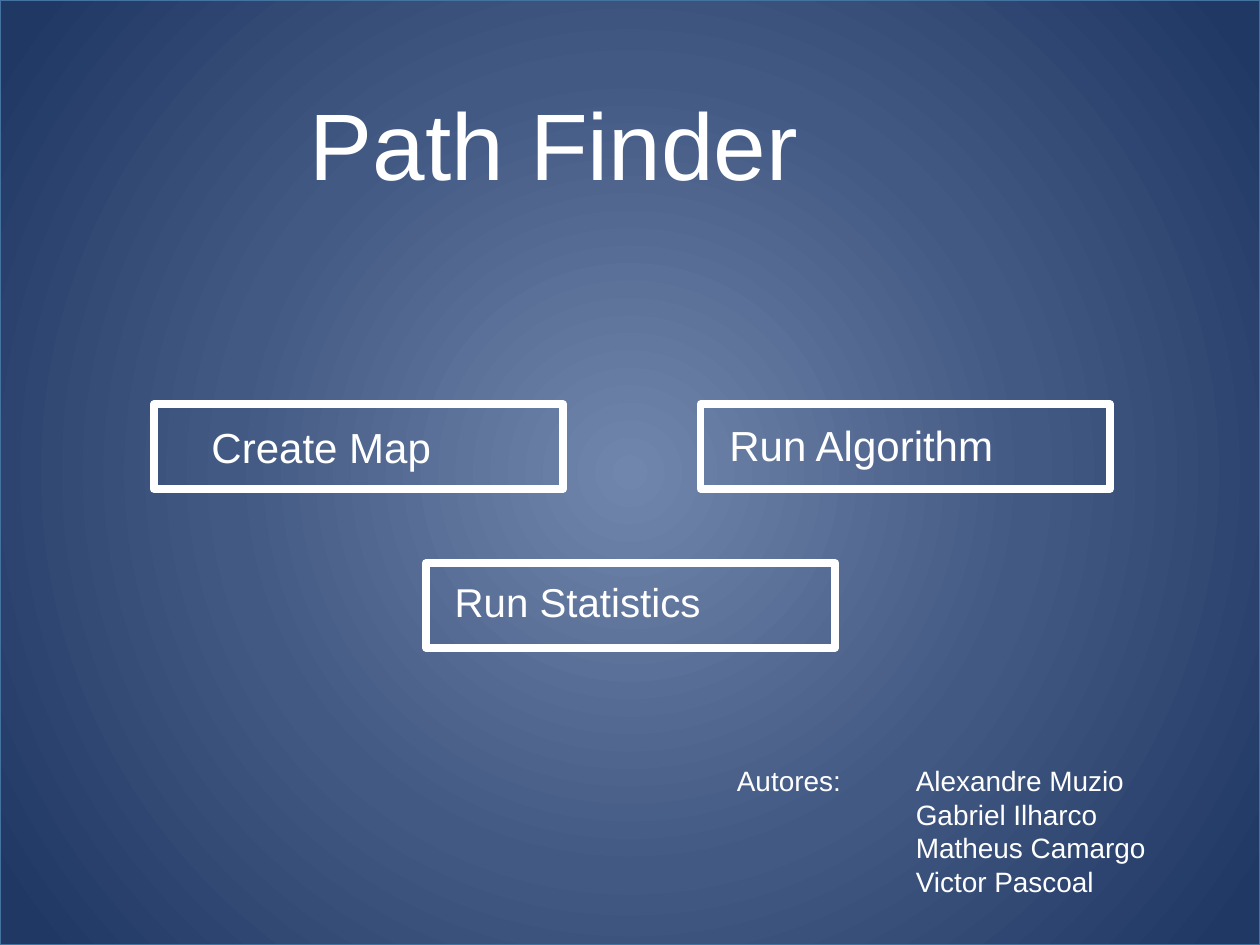
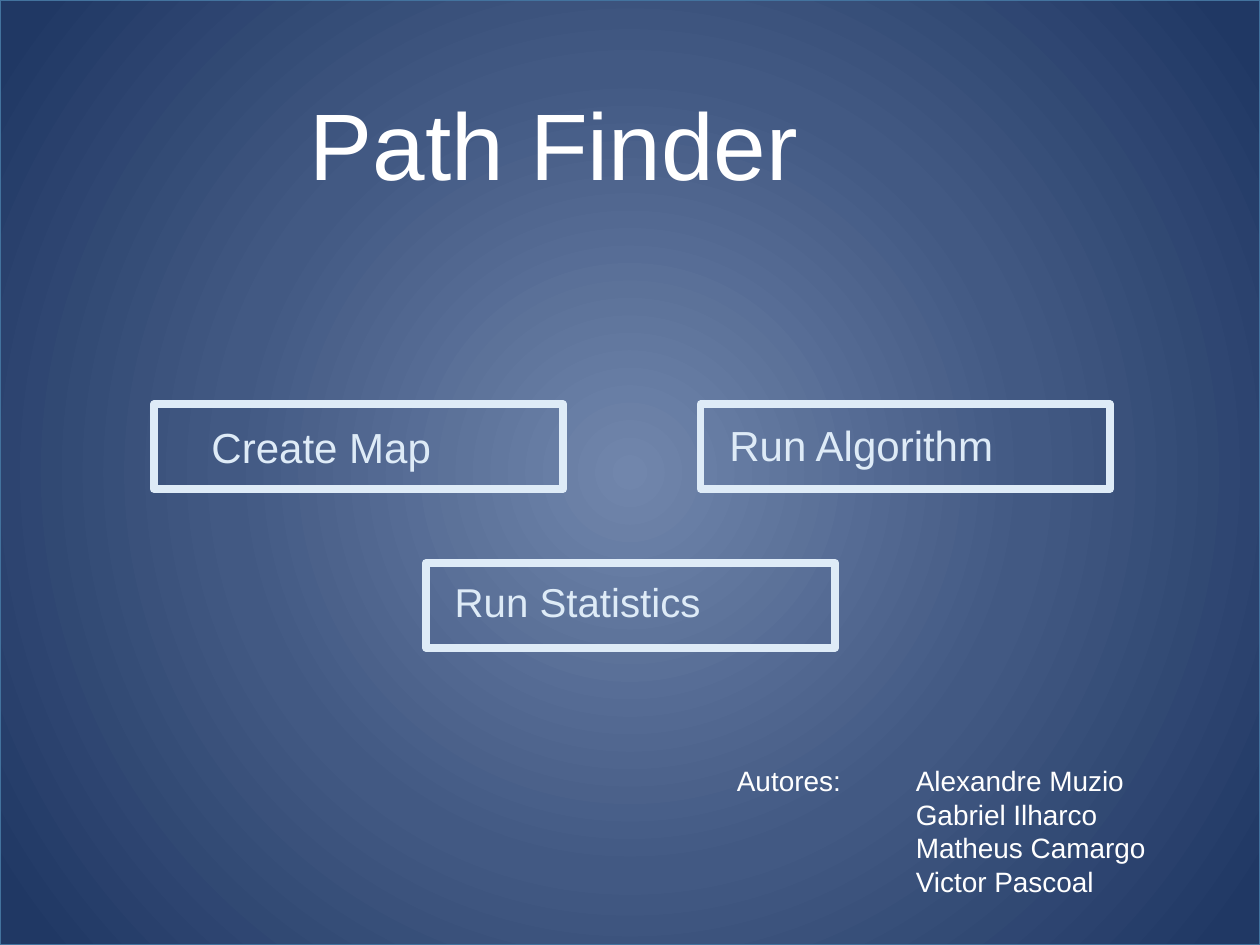
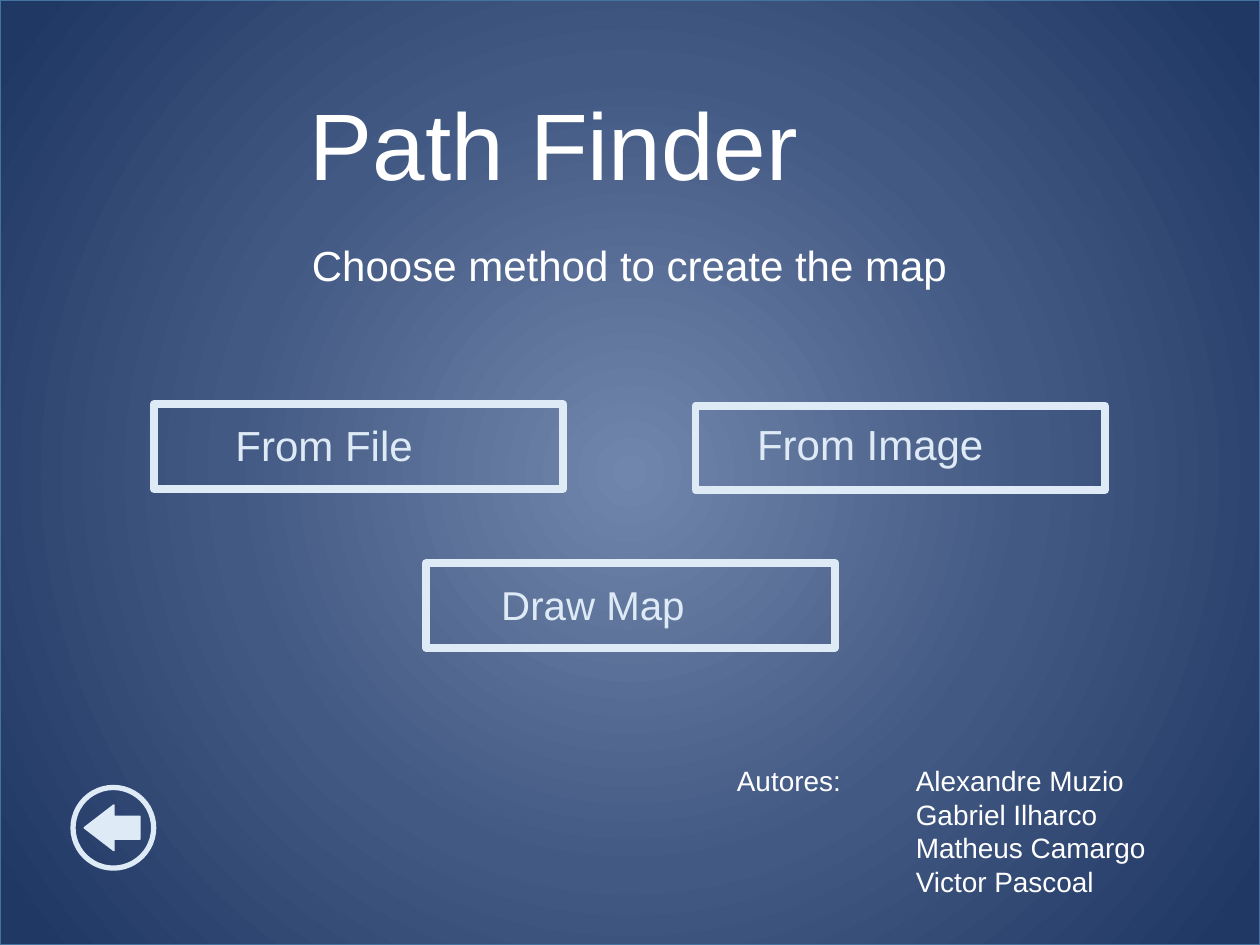
import pptx
import pptx.util
import pptx.dml.color
import pptx.enum.shapes
import pptx.enum.text
import pptx.oxml.ns
import lxml.etree

Inches = pptx.util.Inches
Pt = pptx.util.Pt
RGB = pptx.dml.color.RGBColor
SHAPE = pptx.enum.shapes.MSO_SHAPE
ALIGN = pptx.enum.text.PP_ALIGN
qn = pptx.oxml.ns.qn

WHITE = RGB(0xFF, 0xFF, 0xFF)
PALE = RGB(0xDE, 0xEB, 0xF7)
EDGE = RGB(0x43, 0x73, 0x9E)
GLOW = [(0, RGB(0x71, 0x86, 0xAC)), (51, RGB(0x42, 0x59, 0x83)),
        (96, RGB(0x20, 0x38, 0x64))]
FONT = "Arial"
WIDE, HIGH = 10, 7.5
BTN_W, BTN_H = 3.25, 0.67
AUTHORS = ["Alexandre Muzio", "Gabriel Ilharco", "Matheus Camargo",
           "Victor Pascoal"]

# Each button: left, top, then label, its offset, width, height and size.
MAIN = [
    (5.56, 3.21, "Run Algorithm", 0.13, 0.07, 3.02, 0.5, 24),
    (1.22, 3.21, "Create Map", 0.36, 0.09, 2.75, 0.5, 24),
    (3.38, 4.47, "Run Statistics", 0.13, 0.06, 3.02, 0.49, 23),
]
METHODS = [
    (5.52, 3.22, "From Image", 0.39, 0.05, 2.62, 0.5, 24),
    (1.22, 3.21, "From File", 0.55, 0.07, 2.75, 0.5, 24),
    (3.38, 4.47, "Draw Map", 0.5, 0.09, 2.24, 0.49, 23),
]


def add_text(shapes, box, lines, size, color=WHITE, align=ALIGN.LEFT):
    """Add a wrapped text box with one paragraph per line."""
    label = shapes.add_textbox(*map(Inches, box))
    frame = label.text_frame
    frame.word_wrap = True
    frame.auto_size = pptx.enum.text.MSO_AUTO_SIZE.SHAPE_TO_FIT_TEXT
    frame.text = "\n".join(lines)
    for para in frame.paragraphs:
        para.alignment = align
        for run in para.runs:
            run.font.name = FONT
            run.font.size = Pt(size)
            run.font.color.rgb = color


def add_form(shapes, kind, box, line, width, fill=None):
    """Add a flat outlined shape, hollow unless a fill is given."""
    form = shapes.add_shape(kind, *map(Inches, box))
    form.shadow.inherit = False
    form.line.color.rgb = line
    form.line.width = Pt(width)
    if fill is None:
        form.fill.background()
    else:
        form.fill.solid()
        form.fill.fore_color.rgb = fill
    return form


def add_glow(shapes, box):
    """Fill the box with a round gradient that is light in the centre."""
    back = add_form(shapes, SHAPE.RECTANGLE, box, EDGE, 1)
    back.fill.gradient()
    grad = back._element.spPr.find(qn("a:gradFill"))
    grad.clear()
    stops = lxml.etree.SubElement(grad, qn("a:gsLst"))
    for share, color in GLOW:
        stop = lxml.etree.SubElement(stops, qn("a:gs"), pos=str(share * 1000))
        lxml.etree.SubElement(stop, qn("a:srgbClr"), val=str(color))
    ring = lxml.etree.SubElement(grad, qn("a:path"), path="circle")
    lxml.etree.SubElement(ring, qn("a:fillToRect"),
                          {side: "50000" for side in "ltrb"})


def add_credits(shapes, left, top):
    """Add the authors' heading with the names to its right."""
    add_text(shapes, (left + 1.42, top, 2.92, 1.18), AUTHORS, 16)
    add_text(shapes, (left, top, 1.49, 0.37), ["Autores:"], 16)


def add_button(shapes, color, left, top, label, dx, dy, width, height, size):
    """Group a frame and its label, placed from the frame's corner."""
    group = shapes.add_group_shape().shapes
    add_form(group, SHAPE.RECTANGLE, (left, top, BTN_W, BTN_H), color, 4.5)
    add_text(group, (left + dx, top + dy, width, height), [label], size, color)


def add_back(shapes, left, top, size):
    """Group a ring and a left arrow as the back button."""
    group = shapes.add_group_shape().shapes
    add_form(group, SHAPE.OVAL, (left, top, size, size), PALE, 3)
    arrow = add_form(group, SHAPE.LEFT_ARROW,
                     (left + 0.09, top + 0.14, 0.44, 0.36), PALE, 1, PALE)
    arrow.adjustments[0] = 0.5
    arrow.adjustments[1] = 0.65


def add_menu(deck, buttons, color):
    """Add a menu slide and return its shapes."""
    shapes = deck.slides.add_slide(deck.slide_layouts[6]).shapes
    add_glow(shapes, (0, 0, WIDE, HIGH))
    add_text(shapes, (2.36, 0.63, 6.27, 1.01), ["Path Finder"], 54)
    add_credits(shapes, 5.75, 6.01)
    for button in buttons:
        add_button(shapes, color, *button)
    return shapes


deck = pptx.Presentation()
deck.slide_width = Inches(WIDE)
deck.slide_height = Inches(HIGH)
add_menu(deck, MAIN, WHITE)
add_menu(deck, MAIN, PALE)
page = add_menu(deck, METHODS, PALE)
add_text(page, (1.2, 1.85, 7.59, 0.5), ["Choose method to create the map"],
         24, align=ALIGN.CENTER)
add_back(page, 0.58, 6.25, 0.64)
deck.save("out.pptx")
